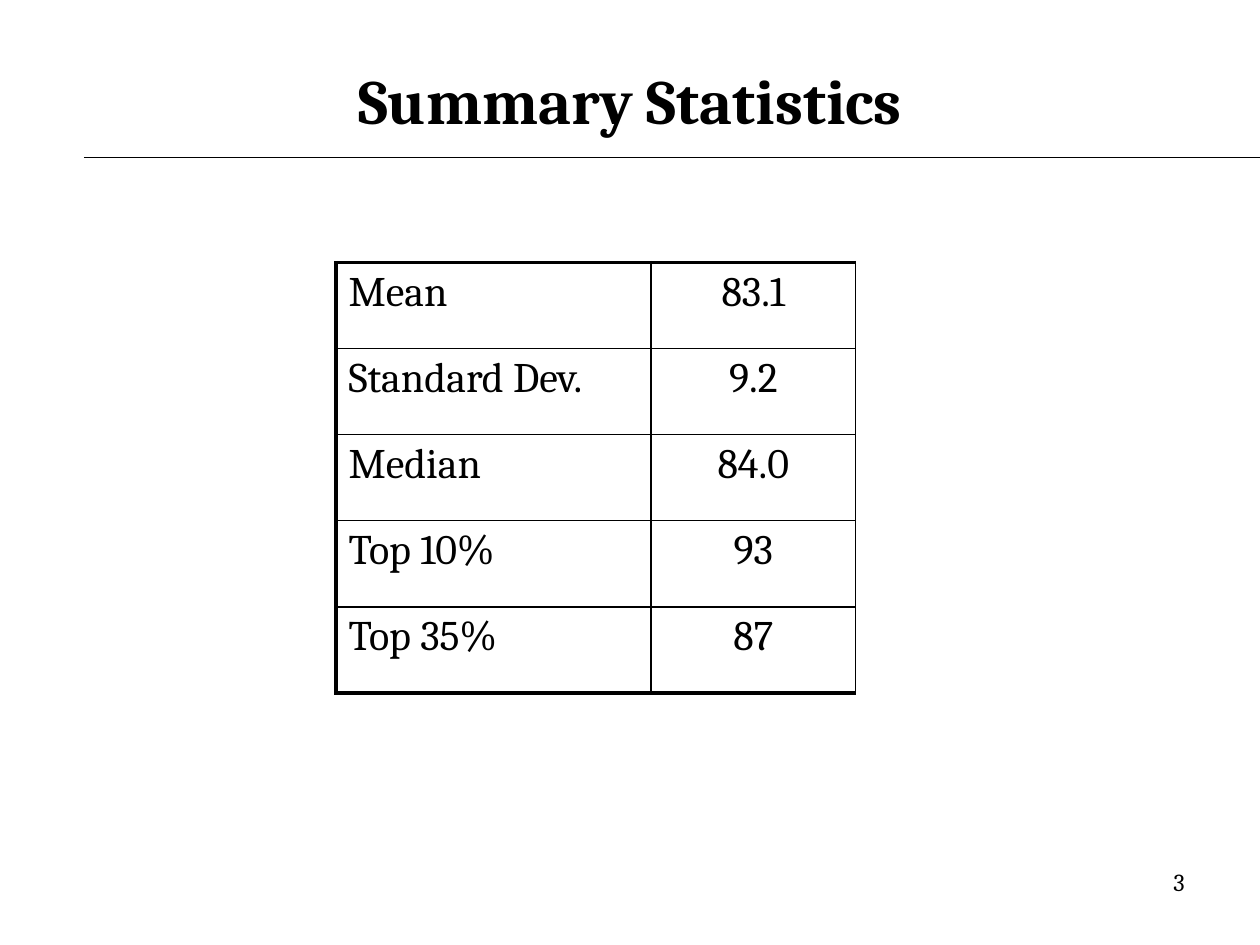
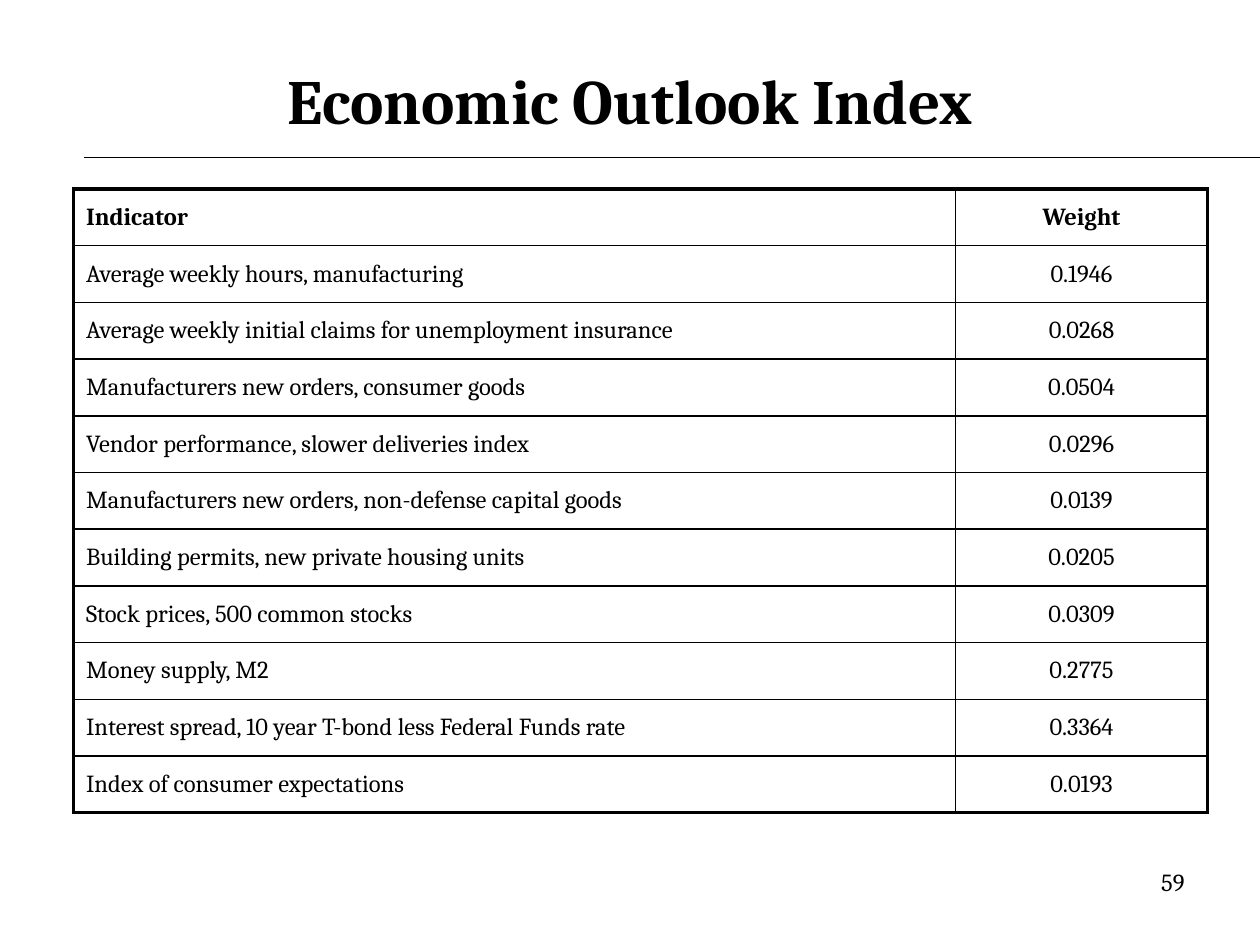
import lxml.etree
import pptx
import pptx.dml.color
import pptx.enum.shapes
import pptx.enum.text
import pptx.oxml.ns
import pptx.util

BLACK = pptx.dml.color.RGBColor(0x00, 0x00, 0x00)
WHITE = pptx.dml.color.RGBColor(0xFF, 0xFF, 0xFF)
FONT = "Cambria"
GRID_STEP = pptx.util.Inches(1) // 12
COLUMNS, ROWS = 120, 90
THIN, THICK = 1, 2.25
LEFT = pptx.enum.text.PP_ALIGN.LEFT
CENTER = pptx.enum.text.PP_ALIGN.CENTER
RIGHT = pptx.enum.text.PP_ALIGN.RIGHT
TOP = pptx.enum.text.MSO_ANCHOR.TOP
MIDDLE = pptx.enum.text.MSO_ANCHOR.MIDDLE

STATISTICS = [
    ("Mean", "83.1"),
    ("Standard Dev.", "9.2"),
    ("Median", "84.0"),
    ("Top 10%", "93"),
    ("Top 35%", "87"),
]
INDICATORS = [
    ("Indicator", "Weight"),
    ("Average weekly hours, manufacturing", "0.1946"),
    ("Average weekly initial claims for unemployment insurance", "0.0268"),
    ("Manufacturers new orders, consumer goods", "0.0504"),
    ("Vendor performance, slower deliveries index", "0.0296"),
    ("Manufacturers new orders, non-defense capital goods", "0.0139"),
    ("Building permits, new private housing units", "0.0205"),
    ("Stock prices, 500 common stocks", "0.0309"),
    ("Money supply, M2", "0.2775"),
    ("Interest spread, 10 year T-bond less Federal Funds rate", "0.3364"),
    ("Index of consumer expectations", "0.0193"),
]


def grid(*steps):
    """Turn grid steps into lengths."""
    return [int(step * GRID_STEP) for step in steps]


def write(frame, text, size, align, bold=False):
    """Write one formatted line of text into a text frame."""
    para = frame.paragraphs[0]
    para.alignment = align
    span = para.add_run()
    span.text = text
    span.font.name = FONT
    span.font.size = pptx.util.Pt(size)
    span.font.bold = bold
    span.font.color.rgb = BLACK


def add_page(deck, title, number):
    """Add a page with its title, rule and page number."""
    page = deck.slides.add_slide(deck.slide_layouts[5])
    page.background.fill.solid()
    page.background.fill.fore_color.rgb = WHITE

    heading = page.shapes.title
    heading.left, heading.top, heading.width, heading.height = grid(6, 4, 108, 11)
    heading.text_frame.vertical_anchor = MIDDLE
    write(heading.text_frame, title, 36, CENTER, bold=True)

    rule = page.shapes.add_connector(
        pptx.enum.shapes.MSO_CONNECTOR.STRAIGHT, *grid(8, 15, COLUMNS, 15))
    rule.line.color.rgb = BLACK
    rule.line.width = pptx.util.Pt(0.75)
    properties = rule._element.spPr
    lxml.etree.SubElement(properties, pptx.oxml.ns.qn("a:effectLst"))

    box = page.shapes.add_textbox(*grid(86, 82, 28, 6.25))
    box.text_frame.word_wrap = True
    write(box.text_frame, number, 14, RIGHT)
    return page


def set_borders(cell, **widths):
    """Draw the left, right, top and bottom borders of a cell."""
    properties = cell._tc.get_or_add_tcPr()
    for index, side in enumerate("LRTB"):
        border = lxml.etree.Element(
            pptx.oxml.ns.qn("a:ln" + side), w=str(pptx.util.Pt(widths[side])))
        fill = lxml.etree.SubElement(border, pptx.oxml.ns.qn("a:solidFill"))
        lxml.etree.SubElement(fill, pptx.oxml.ns.qn("a:srgbClr"), val=str(BLACK))
        properties.insert(index, border)


def add_grid_table(page, records, corner, widths, row_height, size, anchor,
                   right_edge, header=False):
    """Add a two-column table with thick outer and thin inner borders."""
    frame = page.shapes.add_table(
        len(records), len(widths),
        *grid(*corner, sum(widths), row_height * len(records)))
    table = frame.table
    table.first_row = False
    table.horz_banding = False
    for column, width in zip(table.columns, grid(*widths)):
        column.width = width
    last_row, last_column = len(records) - 1, len(widths) - 1
    for row, record in enumerate(records):
        table.rows[row].height = grid(row_height)[0]
        for column, text in enumerate(record):
            cell = table.cell(row, column)
            cell.fill.background()
            cell.vertical_anchor = anchor
            write(cell.text_frame, text, size, CENTER if column else LEFT,
                  bold=header and row == 0)
            set_borders(
                cell,
                L=THIN if column else THICK,
                R=right_edge if column == last_column else THIN,
                T=THIN if row else THICK,
                B=THICK if row == last_row else THIN)


def main():
    """Build the two table pages and save the deck."""
    deck = pptx.Presentation()
    deck.slide_width, deck.slide_height = grid(COLUMNS, ROWS)

    page = add_page(deck, "Summary Statistics", "3")
    add_grid_table(page, STATISTICS, (32, 25), (30, 19.5), 8.2, 24, TOP, THIN)

    page = add_page(deck, "Economic Outlook Index", "59")
    add_grid_table(page, INDICATORS, (7, 18), (84, 24), 5.4, 14, MIDDLE, THICK,
                   header=True)

    deck.save("out.pptx")


if __name__ == "__main__":
    main()
